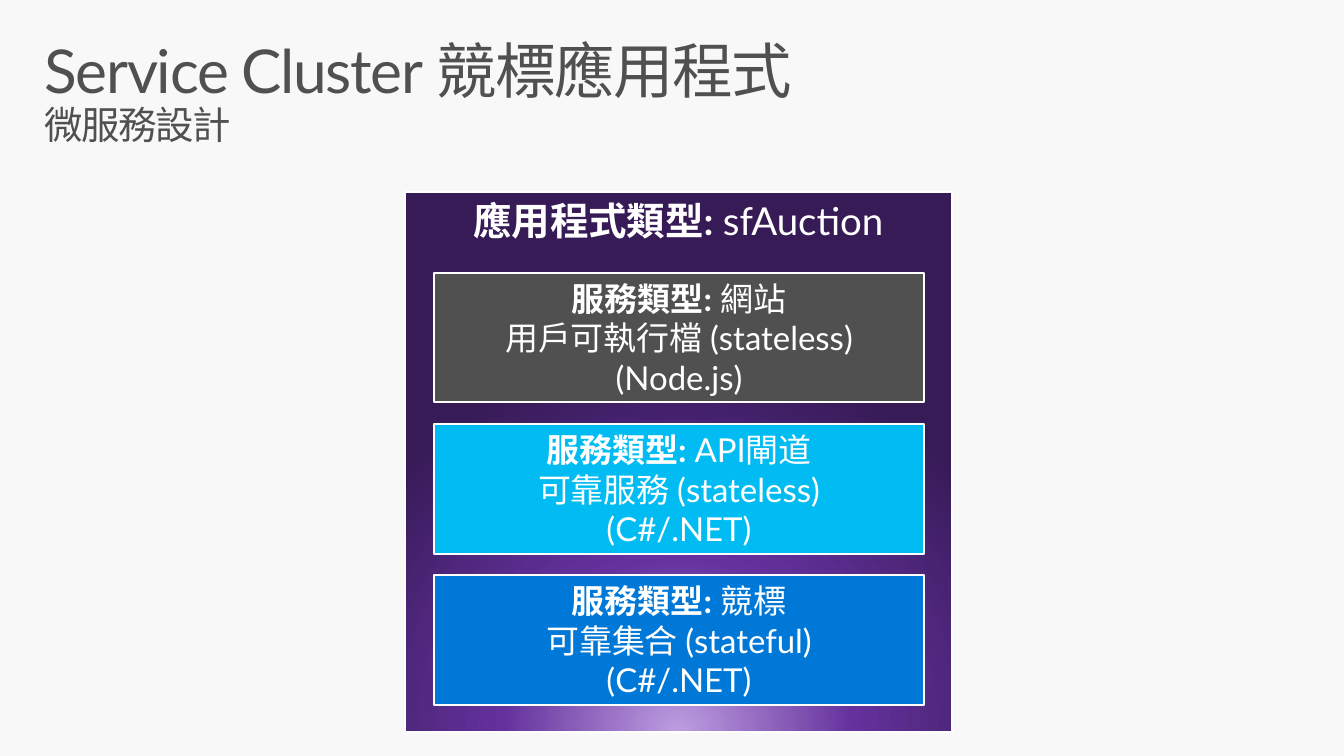
from dataclasses import dataclass

from pptx import Presentation
from pptx.dml.color import RGBColor
from pptx.enum.shapes import MSO_SHAPE
from pptx.enum.text import MSO_ANCHOR, MSO_AUTO_SIZE, PP_ALIGN
from pptx.oxml import parse_xml
from pptx.oxml.ns import nsdecls, qn
from pptx.util import Cm, Pt

FONT = "Lato"
WHITE = "FFFFFF"
GREY = "505050"
GLOW = ((0, "BD9DE1"), (46, "64319D"), (100, "371B57"))

SERVICE_LEFT, SERVICE_TOP = 11.15, 7.01
SERVICE_WIDTH, SERVICE_HEIGHT = 12.6, 3.33
SERVICE_PITCH = 3.89


@dataclass
class Service:
    name: str
    kind: str
    language: str
    color: str


SERVICES = [
    Service("網站", "用戶可執行檔 (stateless)", "(Node.js)", GREY),
    Service("API閘道", "可靠服務 (stateless)", "(C#/.NET)", "00BCF2"),
    Service("競標", "可靠集合 (stateful)", "(C#/.NET)", "0078D7"),
]


def rgb(color: str) -> RGBColor:
    return RGBColor.from_string(color)


def style_paragraph(para, size: float, color: str) -> None:
    para.font.name = FONT
    para.font.size = Pt(size)
    para.font.color.rgb = rgb(color)


def set_margins(frame, side: float, end: float) -> None:
    frame.word_wrap = True
    frame.margin_left = frame.margin_right = Cm(side)
    frame.margin_top = frame.margin_bottom = Cm(end)


def add_panel(page, left: float, top: float, width: float, height: float,
              label: str, lines: list[str], size: float):
    """Add a white-edged rectangle with a bold label before its lines."""
    panel = page.shapes.add_shape(
        MSO_SHAPE.RECTANGLE, Cm(left), Cm(top), Cm(width), Cm(height))
    panel.shadow.inherit = False
    panel.line.color.rgb = rgb(WHITE)
    panel.line.width = Pt(1.5)
    set_margins(panel.text_frame, 0.13, 0.13)
    para = panel.text_frame.paragraphs[0]
    para.alignment = PP_ALIGN.CENTER
    style_paragraph(para, size, WHITE)
    span = para.add_run()
    span.text = label
    span.font.bold = True
    for index, line in enumerate(lines):
        if index:
            para.add_line_break()
        para.add_run().text = line
    return panel


def fill_with_glow(panel) -> None:
    """Fill with a circular gradient centred below the lower edge."""
    stops = "".join(
        f'<a:gs pos="{position * 1000}"><a:srgbClr val="{color}"/></a:gs>'
        for position, color in GLOW)
    gradient = parse_xml(
        f'<a:gradFill {nsdecls("a")} rotWithShape="1"><a:gsLst>{stops}</a:gsLst>'
        '<a:path path="circle"><a:fillToRect l="50000" t="130000" '
        'r="50000" b="-30000"/></a:path></a:gradFill>')
    panel.fill.background()
    properties = panel._element.spPr
    properties.replace(properties.find(qn("a:noFill")), gradient)


def add_title(page) -> None:
    box = page.shapes.add_textbox(Cm(0.74), Cm(0.81), Cm(32.39), Cm(3.61))
    frame = box.text_frame
    set_margins(frame, 0.41, 0.25)
    heading, subtitle = frame.paragraphs[0], frame.add_paragraph()
    for para, text, size in ((heading, "Service Cluster 競標應用程式", 44),
                             (subtitle, "微服務設計", 28)):
        para.line_spacing = 0.9
        style_paragraph(para, size, GREY)
        span = para.add_run()
        span.text = text
        span._r.get_or_add_rPr().set("spc", "-100")


def add_service(page, service: Service, row: int) -> None:
    panel = add_panel(
        page, SERVICE_LEFT, SERVICE_TOP + row * SERVICE_PITCH,
        SERVICE_WIDTH, SERVICE_HEIGHT, "服務類型: ",
        [service.name, service.kind, service.language], 24)
    panel.fill.solid()
    panel.fill.fore_color.rgb = rgb(service.color)
    panel.text_frame.vertical_anchor = MSO_ANCHOR.MIDDLE
    panel.text_frame.auto_size = MSO_AUTO_SIZE.SHAPE_TO_FIT_TEXT


def main() -> None:
    deck = Presentation()
    deck.slide_width, deck.slide_height = Cm(34.54), Cm(19.43)
    page = deck.slides.add_slide(deck.slide_layouts[6])
    page.background.fill.solid()
    page.background.fill.fore_color.rgb = rgb("F8F8F8")

    add_title(page)
    application = add_panel(page, 10.41, 4.93, 14.05, 13.89,
                            "應用程式類型: ", ["sfAuction"], 28)
    application.text_frame.vertical_anchor = MSO_ANCHOR.TOP
    fill_with_glow(application)
    for row, service in enumerate(SERVICES):
        add_service(page, service, row)

    deck.save("out.pptx")


if __name__ == "__main__":
    main()
